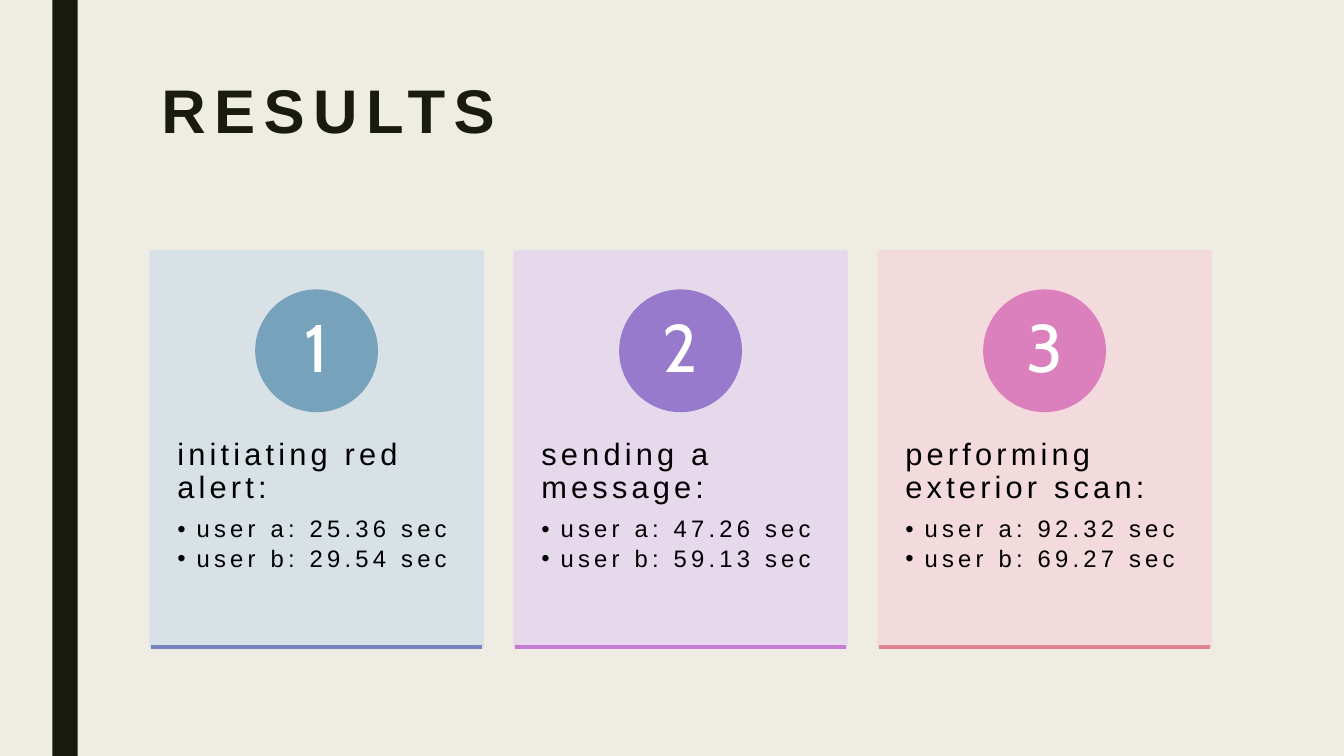
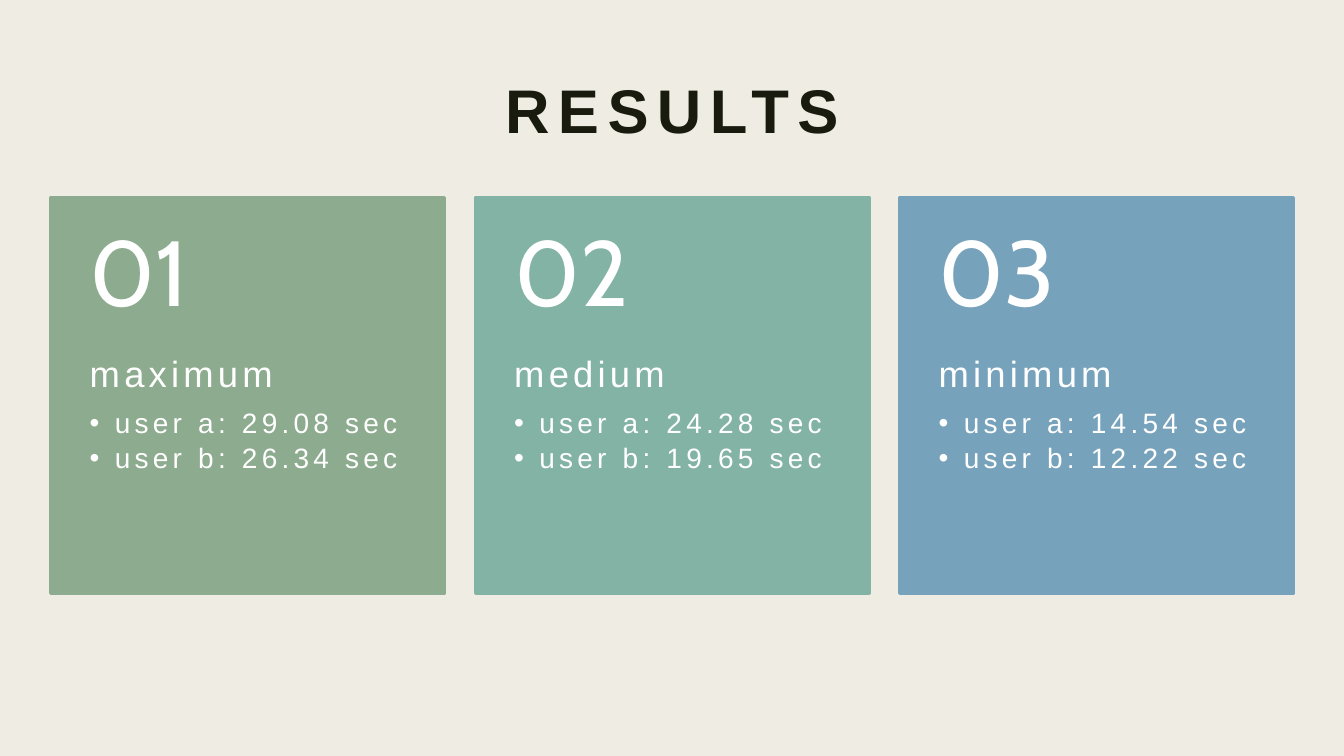
import pptx
import pptx.util
import pptx.dml.color
import pptx.enum.shapes
import pptx.enum.text
import pptx.oxml.ns
from lxml import etree

Inches = pptx.util.Inches
Pt = pptx.util.Pt
RGBColor = pptx.dml.color.RGBColor
Shape = pptx.enum.shapes.MSO_SHAPE
Align = pptx.enum.text.PP_ALIGN
Anchor = pptx.enum.text.MSO_ANCHOR
qn = pptx.oxml.ns.qn

CREAM = RGBColor(0xEF, 0xED, 0xE3)
INK = RGBColor(0x19, 0x1B, 0x0E)
BLACK = RGBColor(0x00, 0x00, 0x00)
WHITE = RGBColor(0xFF, 0xFF, 0xFF)
MIST = RGBColor(0xD6, 0xE0, 0xE7)
LILAC = RGBColor(0xE6, 0xD7, 0xEE)
BLUSH = RGBColor(0xF4, 0xD9, 0xDC)
BLUE = RGBColor(0x77, 0xA2, 0xBB)
VIOLET = RGBColor(0x97, 0x7A, 0xCC)
PINK = RGBColor(0xDB, 0x7F, 0xBD)
INDIGO = RGBColor(0x78, 0x83, 0xC4)
ORCHID = RGBColor(0xC6, 0x7C, 0xD4)
CORAL = RGBColor(0xE2, 0x83, 0x94)
SAGE = RGBColor(0x8D, 0xAB, 0x8E)
TEAL = RGBColor(0x82, 0xB3, 0xA4)

TASKS = [
    ("1", "initiating red alert:", "25.36", "29.54", MIST, BLUE, INDIGO),
    ("2", "sending a message:", "47.26", "59.13", LILAC, VIOLET, ORCHID),
    ("3", "performing exterior scan:", "92.32", "69.27", BLUSH, PINK, CORAL),
]
LEVELS = [
    ("01", "maximum", "29.08", "26.34", SAGE),
    ("02", "medium", "24.28", "19.65", TEAL),
    ("03", "minimum", "14.54", "12.22", BLUE),
]


class Deck:
    """Holds the shared style and the slide being built."""

    text_font = "Arial"
    number_font = "Cabin"
    edge = Pt(2.75)

    def __init__(self):
        self.prs = pptx.Presentation()
        self.prs.slide_width = Inches(13.33)
        self.prs.slide_height = Inches(7.5)
        fill = self.prs.slide_master.background.fill
        fill.solid()
        fill.fore_color.rgb = CREAM

    def start(self):
        layout = self.prs.slide_layouts.get_by_name("Comparison")
        self.slide = self.prs.slides.add_slide(layout)
        self.shapes = self.slide.shapes
        self.bodies = list(self.slide.placeholders)[1:]

    def finish(self):
        """Remove the body placeholders left empty."""
        for body in self.bodies:
            body.element.getparent().remove(body.element)

    def place(self, shape, left, top, width, height):
        shape.left, shape.top = Inches(left), Inches(top)
        shape.width, shape.height = Inches(width), Inches(height)

    def frame(self, shape, insets, anchor):
        frame = shape.text_frame
        frame.word_wrap = True
        frame.auto_size = pptx.enum.text.MSO_AUTO_SIZE.NONE
        frame.vertical_anchor = anchor
        (frame.margin_left, frame.margin_top,
         frame.margin_right, frame.margin_bottom) = map(Inches, insets)
        return frame

    def style(self, para, face, size, color, track=0, bold=False):
        """Format the runs; track is the letter spacing in points."""
        for run in para.runs:
            font = run.font
            font.name, font.size, font.bold = face, Pt(size), bold
            font.color.rgb = color
            if track:
                run._r.get_or_add_rPr().set("spc", str(track * 100))

    def title(self, text, left, width, align):
        shape = self.shapes.title
        self.place(shape, left, 0.75, width, 1.62)
        frame = self.frame(shape, (0.1, 0.05, 0.1, 0.05), Anchor.TOP)
        frame.text = text
        para = frame.paragraphs[0]
        para.alignment, para.line_spacing = align, 0.89
        self.style(para, self.text_font, 44, INK, 6, True)

    def block(self, kind, left, top, width, height, color, alpha=None):
        """Add a filled shape; alpha is its opacity in percent."""
        shape = self.shapes.add_shape(kind, 0, 0, 0, 0)
        self.place(shape, left, top, width, height)
        shape.shadow.inherit = False
        shape.fill.solid()
        shape.fill.fore_color.rgb = color
        shape.line.color.rgb = color
        shape.line.width = self.edge
        if alpha:
            for tint in shape.element.spPr.iter(qn("a:srgbClr")):
                etree.SubElement(tint, qn("a:alpha")).set("val", str(alpha * 1000))
        return shape

    def band(self):
        shape = self.block(Shape.RECTANGLE, 0.52, 0, 0.25, 7.5, INK)
        shape.line.fill.background()

    def rule(self, left, top, width, color):
        line = self.shapes.add_connector(
            pptx.enum.shapes.MSO_CONNECTOR.STRAIGHT,
            Inches(left), Inches(top), Inches(left + width), Inches(top))
        line.line.color.rgb = color
        line.line.width = self.edge
        etree.SubElement(line.element.spPr, qn("a:effectLst"))

    def number(self, shape, text, size, insets, align):
        frame = self.frame(shape, insets, Anchor.MIDDLE)
        frame.text = text
        para = frame.paragraphs[0]
        para.alignment, para.line_spacing = align, 0.9
        self.style(para, self.number_font, size, WHITE)

    def label(self, text, left, top, width, height, size, insets):
        box = self.shapes.add_textbox(0, 0, 0, 0)
        self.place(box, left, top, width, height)
        self.number(box, text, size, insets, Align.LEFT)

    def times(self, head, first, second, area, insets, sizes, indent, color):
        """Fill a body placeholder with a heading and two bulleted times."""
        body = self.bodies.pop(0)
        self.shapes.element.append(body.element)
        self.place(body, *area)
        frame = self.frame(body, insets, Anchor.TOP)
        frame.text = f"{head}\nuser a: {first} sec\nuser b: {second} sec"
        for index, para in enumerate(frame.paragraphs):
            props = para._p.get_or_add_pPr()
            hang = Inches(indent) if index else 0
            props.set("marL", str(hang))
            props.set("indent", str(-hang))
            if index:
                etree.SubElement(props, qn("a:buFont")).set("typeface", "Arial")
                etree.SubElement(props, qn("a:buChar")).set("char", "•")
            else:
                etree.SubElement(props, qn("a:buNone"))
            size = sizes[1] if index else sizes[0]
            para.alignment, para.line_spacing = Align.LEFT, 0.9
            para.space_before = Pt(0)
            para.space_after = Pt(round(size * (0.17 if index else 0.4), 1))
            self.style(para, self.text_font, size, color, 3)


def tasks(deck):
    deck.start()
    deck.band()
    deck.title("RESULTS", 1.5, 10.5, Align.LEFT)
    top, width, height, disc = 2.5, 3.28, 3.92, 1.18
    for index, (num, head, first, second, pale, mid, base) in enumerate(TASKS):
        left = 1.5 + 3.61 * index
        deck.block(Shape.RECTANGLE, left, top, width, height, pale, 90)
        deck.times(head, first, second, (left, 3.99, width, 2.35),
                   (0.26, 0.36, 0.26, 0.36), (22, 17), 0.19, BLACK)
        oval = deck.block(Shape.OVAL, left + (width - disc) / 2, 2.89,
                          disc, disc, mid)
        deck.number(oval, num, 48, (0.09, 0.01, 0.09, 0.01), Align.CENTER)
        deck.rule(left, top + height, width, base)
    deck.finish()


def levels(deck):
    deck.start()
    deck.title("RESULTS", 0.7, 11.93, Align.CENTER)
    top, width, height, split = 1.96, 3.9, 3.92, 1.57
    for index, (num, head, first, second, color) in enumerate(LEVELS):
        left = 0.51 + 4.21 * index
        deck.block(Shape.RECTANGLE, left, top, width, height, color)
        deck.times(head, first, second,
                   (left, top + split, width, height - split),
                   (0.38, 0, 0.38, 0.36), (26, 20), 0.25, WHITE)
        deck.label(num, left, top, width, split, 66, (0.38, 0.18, 0.38, 0.18))
    deck.finish()


def main():
    deck = Deck()
    tasks(deck)
    levels(deck)
    deck.prs.save("out.pptx")


if __name__ == "__main__":
    main()
